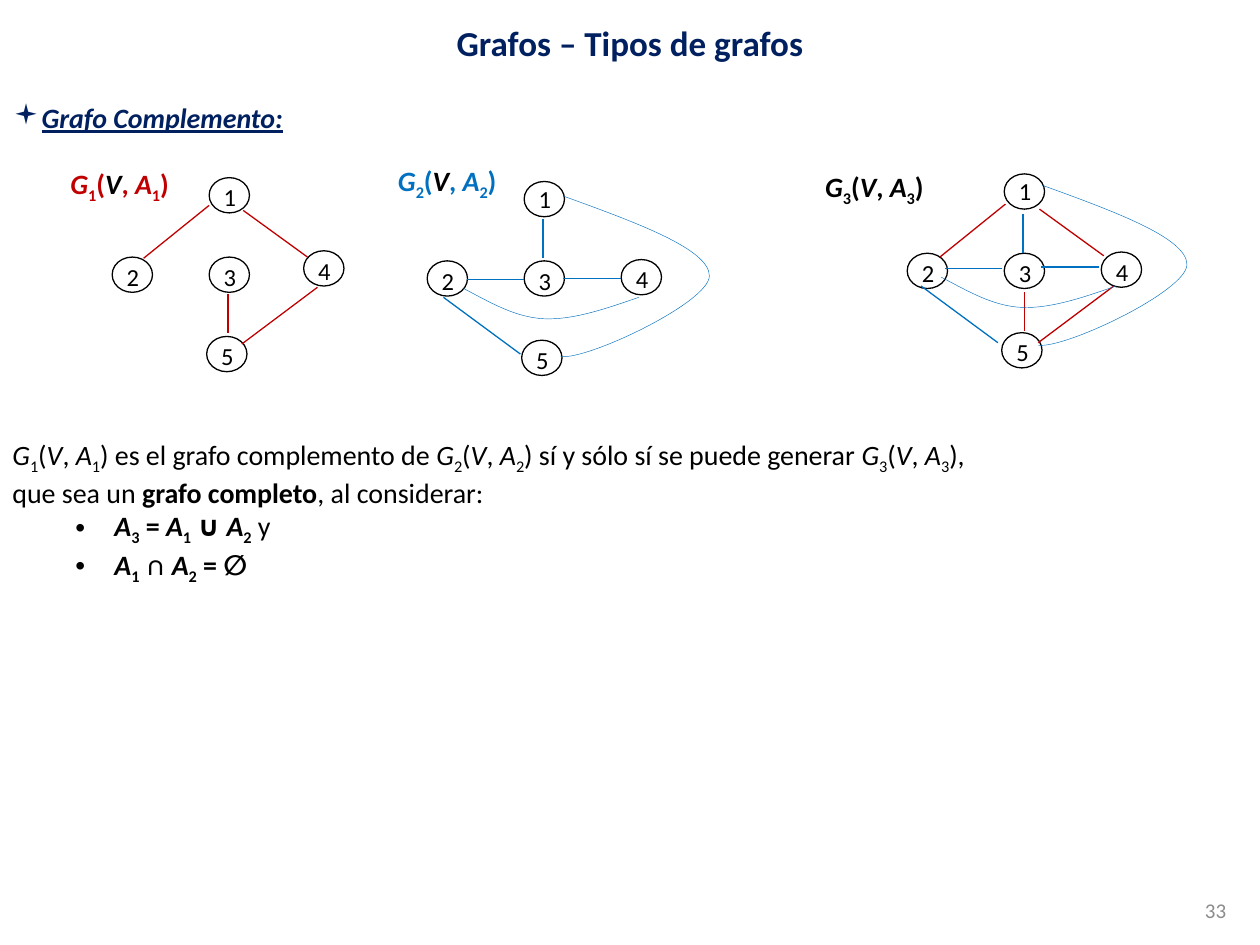
from lxml import etree
from pptx import Presentation
from pptx.dml.color import RGBColor
from pptx.enum.shapes import MSO_CONNECTOR, MSO_SHAPE
from pptx.enum.text import MSO_ANCHOR, PP_ALIGN
from pptx.oxml.ns import qn
from pptx.util import Inches, Pt

LINE = MSO_CONNECTOR.STRAIGHT
OVAL = MSO_SHAPE.OVAL
TOP, MIDDLE = MSO_ANCHOR.TOP, MSO_ANCHOR.MIDDLE
LEFT, CENTER, RIGHT, JUST = (
    PP_ALIGN.LEFT, PP_ALIGN.CENTER, PP_ALIGN.RIGHT, PP_ALIGN.JUSTIFY)
NAVY = RGBColor(0x00, 0x20, 0x60)
RED = RGBColor(0xC0, 0x00, 0x00)
BLUE = RGBColor(0x00, 0x70, 0xC0)
GRAY = RGBColor(0x8C, 0x8C, 0x8C)
BLACK = RGBColor(0x00, 0x00, 0x00)
WHITE = RGBColor(0xFF, 0xFF, 0xFF)

# Places within a graph, from the top left corner of node 1
NODES = {1: (0, 0), 2: (-0.77, 0.63), 3: (0, 0.63), 4: (0.77, 0.62),
         5: (-0.02, 1.26)}
RED_EDGES = [((0.15, 0.92), (0.15, 1.23)), ((0, 0.22), (-0.52, 0.64)),
             ((0.86, 0.87), (0.26, 1.32)), ((0.27, 0.26), (0.78, 0.63))]
STEM = [((0.15, 0.3), (0.15, 0.61))]
BLUE_EDGES = [((-0.45, 0.78), (0, 0.78)), ((0.31, 0.77), (0.77, 0.77)),
              ((-0.64, 0.92), (-0.03, 1.37))]
# Each arc: an end point, then two handles and an end point per curve
ARCS = [
    [(0.32, 0.12), (0.9, 0.33), (1.47, 0.54), (1.47, 0.75),
     (1.47, 0.96), (0.5, 1.42), (0.29, 1.39)],
    [(-0.48, 0.85), (-0.27, 0.96), (-0.07, 1.08), (0.16, 1.09),
     (0.39, 1.1), (0.65, 1.01), (0.91, 0.92)],
]


def graph(n, style="", core="i"):
    """Runs of G(V, A) with index n; core styles the V."""
    return [("G", style + "i"), (str(n), style + "s"), ("(", style),
            ("V", style + core), (", ", style), ("A", style + "i"),
            (str(n), style + "s"), (")", style)]


def add_bullet(para, mark, face, margin, indent):
    props = para._p.get_or_add_pPr()
    props.set("marL", str(Inches(margin)))
    props.set("indent", str(Inches(-indent)))
    etree.SubElement(props, qn("a:buFont")).set("typeface", face)
    etree.SubElement(props, qn("a:buChar")).set("char", mark)


def add_runs(para, runs, size, color):
    """Style letters: b bold, i italic, u underline, s subscript, k black."""
    for text, style in runs:
        run = para.add_run()
        run.text = text
        font = run.font
        font.name, font.size = "Calibri", Pt(size)
        font.color.rgb = BLACK if "k" in style else color
        font.bold, font.italic = "b" in style, "i" in style
        font.underline = "u" in style
        if "s" in style:
            run._r.get_or_add_rPr().set("baseline", "-25000")


def add_text(slide, at, lines, size, color=BLACK, align=LEFT, anchor=TOP,
             wrap=True, bullets=None):
    frame = slide.shapes.add_textbox(*map(Inches, at)).text_frame
    frame.word_wrap, frame.vertical_anchor = wrap, anchor
    for i, runs in enumerate(lines):
        para = frame.add_paragraph() if i else frame.paragraphs[0]
        para.alignment = align
        if bullets and i in bullets:
            add_bullet(para, *bullets[i])
        add_runs(para, runs, size, color)
    return frame


def add_nodes(slide, left, top, places):
    for num, (dx, dy) in places.items():
        x, y = left + dx, top + dy
        oval = slide.shapes.add_shape(
            OVAL, Inches(x), Inches(y), Inches(0.32), Inches(0.28))
        oval.shadow.inherit = False
        oval.fill.solid()
        oval.fill.fore_color.rgb = WHITE
        oval.line.color.rgb = BLACK
        oval.line.width = Pt(0.75)
        lift = 0.1 if num == 1 and places is NODES else 0.08
        frame = add_text(slide, (x - 0.06, y - lift, 0.45, 0.47),
                         [[(str(num), "")]], 14, align=CENTER, anchor=MIDDLE)
        frame.paragraphs[0].space_after = Pt(10)


def add_edges(slide, left, top, edges, color):
    for (x1, y1), (x2, y2) in edges:
        edge = slide.shapes.add_connector(
            LINE, Inches(left + x1), Inches(top + y1),
            Inches(left + x2), Inches(top + y2))
        edge.line.color.rgb = color
        edge.line.width = Pt(0.75)
        etree.SubElement(edge._element.spPr, qn("a:effectLst"))


def bend(shape, points):
    """Turn the straight segments of a freeform into cubic curves."""
    segments = list(shape._element.iter(qn("a:lnTo")))
    for i, segment in enumerate(segments):
        segment.tag = qn("a:cubicBezTo")
        end = segment[0]
        for x, y in points[3 * i + 1:3 * i + 3]:
            handle = etree.Element(qn("a:pt"))
            handle.set("x", str(x - shape.left))
            handle.set("y", str(y - shape.top))
            end.addprevious(handle)


def add_arcs(slide, left, top):
    for arc in ARCS:
        points = [(Inches(left + x), Inches(top + y)) for x, y in arc]
        ends = points[::3]
        build = slide.shapes.build_freeform(*ends[0])
        build.add_line_segments(ends[1:], close=False)
        curve = build.convert_to_shape()
        bend(curve, points)
        curve.shadow.inherit = False
        curve.fill.background()
        curve.line.color.rgb = BLUE
        curve.line.width = Pt(0.25)


def main():
    deck = Presentation()
    deck.slide_width, deck.slide_height = Inches(10), Inches(7.5)
    slide = deck.slides.add_slide(deck.slide_layouts[6])

    add_text(slide, (0, 0, 10, 0.67), [[("Grafos – Tipos de grafos", "b")]],
             20, NAVY, CENTER, MIDDLE)
    add_text(slide, (0.01, 0.75, 9.99, 0.37),
             [[("Grafo Complemento:", "biu")]], 16, NAVY, JUST,
             bullets={0: ("▪", "Wingdings", 0.2, 0.2)})

    add_nodes(slide, 1.66, 1.41, {**NODES, 4: (0.75, 0.58)})
    add_edges(slide, 1.66, 1.41, RED_EDGES, RED)

    add_nodes(slide, 4.16, 1.44, NODES)
    add_edges(slide, 4.16, 1.44, STEM + BLUE_EDGES, BLUE)
    add_arcs(slide, 4.16, 1.44)

    add_nodes(slide, 7.97, 1.38, NODES)
    add_edges(slide, 7.98, 1.4, RED_EDGES, RED)
    add_edges(slide, 7.97, 1.4, STEM, BLUE)
    add_edges(slide, 7.95, 1.35, BLUE_EDGES, BLUE)
    add_arcs(slide, 7.95, 1.35)

    labels = [(0.46, 1.27, RED), (3.06, 1.25, BLUE), (6.45, 1.3, BLACK)]
    for num, (x, y, color) in enumerate(labels, 1):
        add_text(slide, (x, y, 1.02, 0.37), [graph(num, "b", "ik")],
                 16, color, wrap=False)

    dot = ("•", "Arial", 0.81, 0.31)
    add_text(slide, (0, 3.42, 9.99, 1.18), [
        graph(1) + [(" es el grafo complemento de ", "")] + graph(2)
        + [(" sí y sólo sí se puede generar ", "")] + graph(3) + [(",", "")],
        [("que sea un ", ""), ("grafo completo", "b"),
         (", al considerar:", "")],
        [("A", "bi"), ("3", "bs"), (" = ", "b"), ("A", "bi"), ("1", "bs"),
         (" ∪ ", "b"), ("A", "bi"), ("2", "bs"), (" y", "")],
        [("A", "bi"), ("1", "bs"), (" ∩ ", "b"), ("A", "bi"), ("2", "bs"),
         (" = ∅", "b")],
    ], 16, align=JUST, bullets={2: dot, 3: dot})
    add_text(slide, (7.5, 7.02, 2.33, 0.4), [[("33", "")]], 12, GRAY,
             RIGHT, MIDDLE)
    deck.save("out.pptx")


if __name__ == "__main__":
    main()
